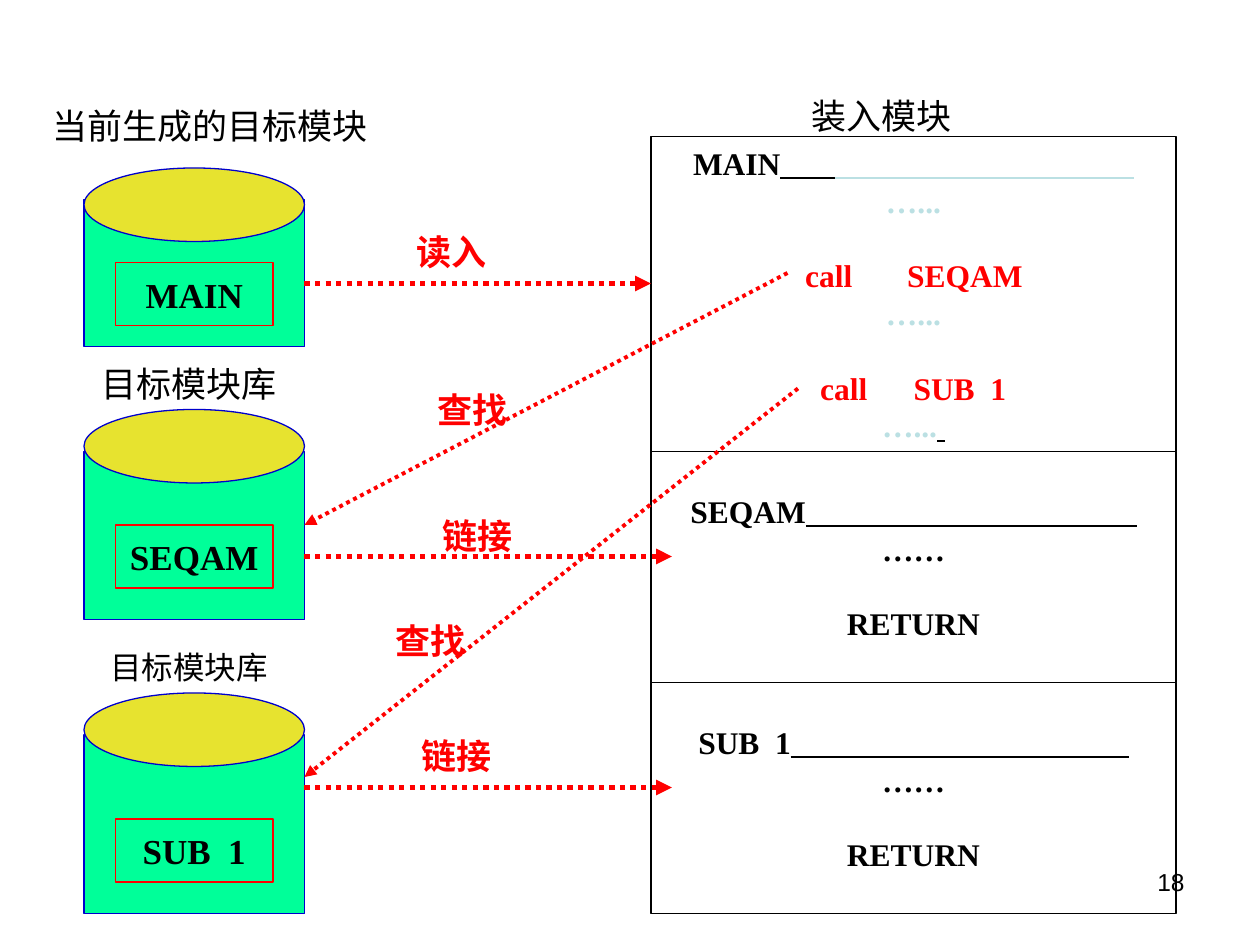
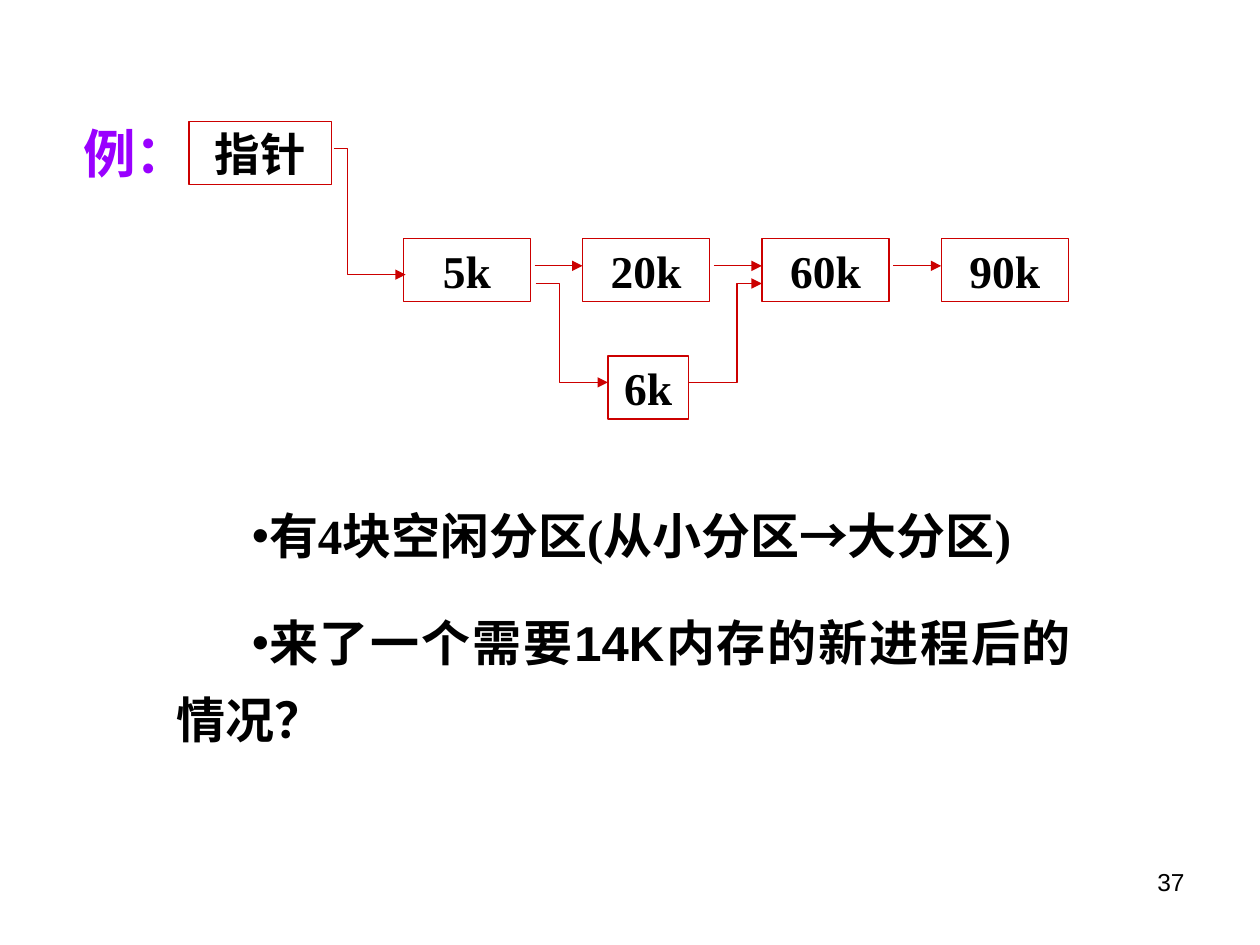
from dataclasses import dataclass

from lxml import etree
from pptx import Presentation
from pptx.dml.color import RGBColor
from pptx.enum.dml import MSO_LINE
from pptx.enum.shapes import MSO_CONNECTOR, MSO_SHAPE
from pptx.enum.text import MSO_ANCHOR, PP_ALIGN
from pptx.oxml.ns import qn
from pptx.util import Inches, Pt

RECT, OVAL = MSO_SHAPE.RECTANGLE, MSO_SHAPE.OVAL
STRAIGHT, DOTTED = MSO_CONNECTOR.STRAIGHT, MSO_LINE.ROUND_DOT
LEFT, CENTER, RIGHT, JUSTIFY = PP_ALIGN.LEFT, PP_ALIGN.CENTER, PP_ALIGN.RIGHT, PP_ALIGN.JUSTIFY
TOP, MIDDLE = MSO_ANCHOR.TOP, MSO_ANCHOR.MIDDLE


@dataclass(frozen=True)
class Theme:
    ink: str = "000000"
    red: str = "FF0000"
    deep_red: str = "CC0000"
    blue: str = "0000CC"
    green: str = "00FF99"
    yellow: str = "E7E32F"
    pale: str = "BBE0E3"
    purple: str = "9900FF"
    serif: str = "Times New Roman"
    sans: str = "Arial"
    footer: int = 14
    code: int = 18
    label: int = 20
    node: int = 26
    body: int = 28
    heading: int = 30
    hairline: float = 0.75


THEME = Theme()


@dataclass(frozen=True)
class Grid:
    """Square cells, counted per inch."""
    per_inch: int

    def lengths(self, *cells):
        return [Inches(cell / self.per_inch) for cell in cells]


LINK_GRID = Grid(12)
LIST_GRID = Grid(10)


def style(span, size, color=THEME.ink, bold=False, font=THEME.serif, underline=None):
    span.font.size, span.font.name = Pt(size), font
    span.font.bold, span.font.underline = bold, underline
    span.font.color.rgb = RGBColor.from_string(color)


def frame_text(shape, align, anchor, wrap, inset):
    frame = shape.text_frame
    frame.word_wrap, frame.vertical_anchor = wrap, anchor
    frame.margin_left = frame.margin_right = Inches(inset)
    frame.margin_top = frame.margin_bottom = Inches(inset / 2)
    frame.paragraphs[0].alignment = align
    return frame


def add_label(page, grid, box, text, size, align=CENTER, anchor=MIDDLE, wrap=False,
              inset=0.1, **look):
    shape = page.shapes.add_textbox(*grid.lengths(*box))
    para = frame_text(shape, align, anchor, wrap, inset).paragraphs[0]
    para.text = text
    style(para.runs[0], size, **look)


def outline(shape, color, width=THEME.hairline):
    shape.line.color.rgb = RGBColor.from_string(color)
    shape.line.width = Pt(width)


def add_block(page, grid, box, line, fill=None, kind=RECT):
    shape = page.shapes.add_shape(kind, *grid.lengths(*box))
    shape.shadow.inherit = False
    if fill:
        shape.fill.solid()
        shape.fill.fore_color.rgb = RGBColor.from_string(fill)
    else:
        shape.fill.background()
    outline(shape, line)
    return shape


def add_named_block(page, grid, box, text, line, size, inset):
    shape = add_block(page, grid, box, line)
    para = frame_text(shape, CENTER, MIDDLE, False, inset).paragraphs[0]
    para.text = text
    style(para.runs[0], size, bold=True)


def add_line(page, grid, start, end, color, width=THEME.hairline):
    line = page.shapes.add_connector(STRAIGHT, *grid.lengths(*start, *end))
    etree.SubElement(line._element.spPr, qn("a:effectLst"))
    outline(line, color, width)
    return line


def add_arrowhead(shape):
    etree.SubElement(shape.line._get_or_add_ln(), qn("a:tailEnd"), type="triangle")


def add_arrow(page, grid, start, end, color, width=THEME.hairline, dash=None):
    arrow = add_line(page, grid, start, end, color, width)
    if dash:
        arrow.line.dash_style = dash
    add_arrowhead(arrow)


def add_bent_arrow(page, grid, start, bend, end):
    """Go across to the column bend, then up or down, then across to the end."""
    corners = [(bend, start[1]), (bend, end[1]), end]
    builder = page.shapes.build_freeform(*grid.lengths(*start))
    builder.add_line_segments([grid.lengths(*corner) for corner in corners], close=False)
    path = builder.convert_to_shape()
    path.shadow.inherit = False
    path.fill.background()
    outline(path, THEME.deep_red)
    add_arrowhead(path)


def add_page_number(page, number):
    add_label(page, LINK_GRID, (86, 82, 28, 6.2), str(number), THEME.footer,
              align=RIGHT, anchor=TOP, wrap=True, font=THEME.sans)


def set_tabs(para, stops):
    tabs = etree.SubElement(para._p.get_or_add_pPr(), qn("a:tabLst"))
    for stop in stops:
        etree.SubElement(tabs, qn("a:tab"), pos=str(Inches(stop)), algn="l")


# Slide 18: linking object modules into a load module

SUB_NAME = "SUB  1"


@dataclass(frozen=True)
class CodeLine:
    spans: tuple  # (text, colour, underlined)
    align: int = CENTER
    tabs: tuple = ()
    gap: int = 0


def name_line(name):
    return CodeLine(((name, THEME.ink, None),), LEFT)


def call_line(target, stops):
    return CodeLine(((f"\tcall\t{target}", THEME.red, None),), LEFT, stops, 21)


def subroutine(name):
    return [name_line(name),
            CodeLine((("……", THEME.ink, None),)),
            CodeLine((("RETURN", THEME.ink, None),), gap=21)]


PALE_DOTS = ("…...", THEME.pale, None)
MAIN_CODE = [
    name_line("MAIN"),
    CodeLine((PALE_DOTS,)),
    call_line("SEQAM", (0.89, 1.7)),
    CodeLine((PALE_DOTS,)),
    call_line(SUB_NAME, (1.01, 1.75)),
    CodeLine((PALE_DOTS, (" ", THEME.ink, True))),
]


def add_code(page, box, lines, inset, rule_row, rules):
    """Rules are (from column, to column, colour), counted from the box's left."""
    left, top = box[:2]
    shape = add_block(page, LINK_GRID, box, THEME.ink)
    frame = frame_text(shape, LEFT, MIDDLE, True, 0.1)
    frame.margin_left = frame.margin_right = LINK_GRID.lengths(inset)[0]
    for index, line in enumerate(lines):
        para = frame.add_paragraph() if index else frame.paragraphs[0]
        para.alignment = line.align
        if line.gap:
            para.space_before = Pt(line.gap)
        if line.tabs:
            set_tabs(para, line.tabs)
        for text, color, underline in line.spans:
            span = para.add_run()
            span.text = text
            style(span, THEME.code, color, True, underline=underline)
    row = top + rule_row
    for start, end, color in rules:
        add_line(page, LINK_GRID, (left + start, row), (left + end, row), color, 1)


def add_module_store(page, box, name, lid_drop, tag_drop):
    left, top, width, height = box
    add_block(page, LINK_GRID, (left, top + lid_drop, width, height - lid_drop),
              THEME.blue, THEME.green)
    add_block(page, LINK_GRID, (left, top, width, 7), THEME.blue, THEME.yellow, OVAL)
    add_named_block(page, LINK_GRID, (left + 3, top + tag_drop, width - 6, 6),
                    name, THEME.red, THEME.label, 0.1)


def add_load_module(page, box):
    left, top, width, height = box
    main_height = 30
    part_height = (height - main_height) / 2
    add_code(page, (left, top, width, main_height), MAIN_CODE, 4, 3.95,
             ((12.3, 17.5, THEME.ink), (17.5, 46, THEME.pale)))
    for index, (name, inset, rule_start) in enumerate((("SEQAM", 3.75, 14.75),
                                                       (SUB_NAME, 4.5, 13.3))):
        add_code(page, (left, top + main_height + index * part_height, width, part_height),
                 subroutine(name), inset, 7.1, ((rule_start, width - inset, THEME.ink),))


def build_linking_page(page):
    store_left, store_width, load_left = 8, 21, 62
    store_right = store_left + store_width
    for name, top, height, lid_drop, tag_drop in (
            ("MAIN", 16, 17, 3, 9), ("SEQAM", 39, 20, 4, 11), (SUB_NAME, 66, 21, 4, 12)):
        add_module_store(page, (store_left, top, store_width, height), name, lid_drop, tag_drop)
    for text, box, size, font in (
            ("当前生成的目标模块", (2, 8, 36, 8), THEME.label, THEME.serif),
            ("目标模块库", (6, 33, 24, 7), THEME.label, THEME.serif),
            ("目标模块库", (9, 60, 18, 7), THEME.code, THEME.sans),
            ("装入模块", (75, 8, 18, 6), THEME.label, THEME.serif)):
        add_label(page, LINK_GRID, box, text, size, font=font)
    add_load_module(page, (load_left, 13, 50, 74))
    for row, end in ((27, load_left), (53, load_left + 2), (75, load_left + 2)):
        add_arrow(page, LINK_GRID, (store_right, row), (end, row), THEME.red, 3, DOTTED)
    for start, row in (((75, 26), 50), ((76, 37), 74)):
        add_arrow(page, LINK_GRID, start, (store_right, row), THEME.red, 2.25, DOTTED)
    for text, left, top, width in (("读入", 38, 21, 10), ("查找", 40, 36, 10), ("链接", 40, 48, 11),
                                   ("查找", 36, 58, 10), ("链接", 38, 69, 11)):
        add_label(page, LINK_GRID, (left, top, width, 6), text, THEME.label,
                  color=THEME.red, bold=True)


# Slide 37: chain of free partitions

def add_partition_chain(page, box):
    left, top, width, height = box
    names = ("5k", "20k", "60k", "90k")
    node_width = 10.1
    pitch = (width - node_width) / (len(names) - 1)
    upper, lower = top + 2.15, top + 3.55
    branch_left, branch_width, branch_row = left + 16.25, 6.4, top + 11.4
    for index, name in enumerate(names):
        node_left = left + index * pitch
        add_named_block(page, LIST_GRID, (node_left, top, node_width, 5), name,
                        THEME.deep_red, THEME.node, 0.06)
        if index:
            add_arrow(page, LIST_GRID, (node_left - 3.8, upper), (node_left, upper),
                      THEME.deep_red)
    add_named_block(page, LIST_GRID, (branch_left, top + height - 5, branch_width, 5), "6k",
                    THEME.deep_red, THEME.node, 0.06)
    add_bent_arrow(page, LIST_GRID, (left + 10.5, lower), left + 12.4, (branch_left, branch_row))
    branch_right = branch_left + branch_width
    add_bent_arrow(page, LIST_GRID, (branch_right, branch_row), branch_right + 3.85,
                   (left + 2 * pitch, lower))


def add_questions(page, box):
    shape = page.shapes.add_textbox(*LIST_GRID.lengths(*box))
    frame = frame_text(shape, JUSTIFY, TOP, True, 0.08)
    for index, (text, font) in enumerate((("有4块空闲分区(从小分区→大分区)", THEME.serif),
                                          ("来了一个需要14K内存的新进程后的情况？", THEME.sans))):
        para = frame.add_paragraph() if index else frame.paragraphs[0]
        para.alignment, para.line_spacing = JUSTIFY, 1.3
        if index:
            para.space_before = Pt(17.5)
        props = para._p.get_or_add_pPr()
        props.set("marL", "0")
        props.set("indent", str(Inches(0.6)))
        etree.SubElement(props, qn("a:buFont"), typeface=THEME.sans)
        etree.SubElement(props, qn("a:buChar"), char="•")
        span = para.add_run()
        span.text = text
        style(span, THEME.body, bold=True, font=font)


def build_partition_page(page):
    add_label(page, LIST_GRID, (5.8, 9.2, 10, 5.8), "例：", THEME.heading, align=LEFT,
              anchor=TOP, inset=0.08, color=THEME.purple, bold=True)
    add_named_block(page, LIST_GRID, (15, 9.65, 11.3, 5), "指针",
                    THEME.deep_red, THEME.node, 0.06)
    add_bent_arrow(page, LIST_GRID, (26.5, 11.8), 27.6, (32.2, 21.8))
    add_partition_chain(page, (32, 18.95, 52.8, 14.3))
    add_questions(page, (13.2, 38.35, 72.6, 21.5))


def main():
    deck = Presentation()
    deck.slide_width, deck.slide_height = Inches(10), Inches(7.5)
    blank = deck.slide_layouts[6]
    for number, build in ((18, build_linking_page), (37, build_partition_page)):
        page = deck.slides.add_slide(blank)
        build(page)
        add_page_number(page, number)
    deck.save("out.pptx")


if __name__ == "__main__":
    main()
